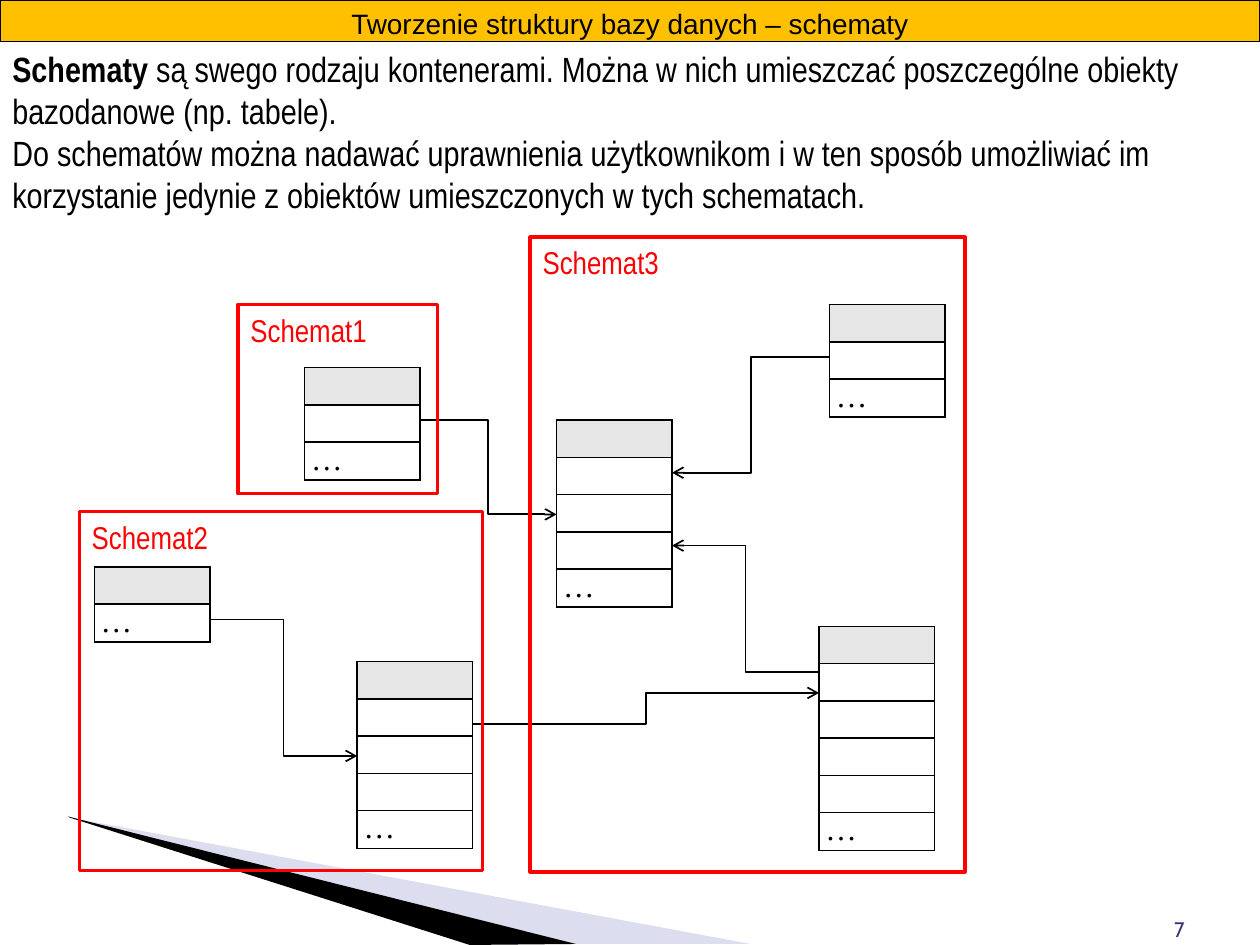
"""Builds a slide showing database schemas as containers for linked tables."""
from dataclasses import dataclass

import lxml.etree
import pptx
import pptx.dml.color
import pptx.enum.shapes
import pptx.enum.text
import pptx.oxml.ns
import pptx.util

Cm = pptx.util.Cm
Pt = pptx.util.Pt
ALIGN = pptx.enum.text.PP_ALIGN
ANCHOR = pptx.enum.text.MSO_ANCHOR


@dataclass(frozen=True)
class Theme:
    black: str = "000000"
    red: str = "FF0000"
    amber: str = "FFC000"
    header: str = "E6E6E6"
    wedge: str = "A8ABD5"
    navy: str = "30356E"
    sans: str = "Arial"
    narrow: str = "Arial Narrow"
    serif: str = "Times New Roman"
    number: str = "Cabin"
    title_size: int = 16
    body_size: int = 20
    label_size: int = 18
    number_size: int = 12
    empty_size: int = 10
    thin: float = 0.75
    line: float = 1
    thick: float = 2


def rgb(color):
    return pptx.dml.color.RGBColor.from_string(color)


def add_xml(parent, tag, **attributes):
    return lxml.etree.SubElement(parent, pptx.oxml.ns.qn(tag), **attributes)


def write(paragraph, text, *, font, size, color, bold=False, align=ALIGN.LEFT):
    paragraph.alignment = align
    run = paragraph.add_run()
    run.text = text
    run.font.name = font
    run.font.size = Pt(size)
    run.font.bold = bold
    run.font.color.rgb = rgb(color)


class SlideBuilder:
    def __init__(self, slide, theme):
        self.slide = slide
        self.theme = theme

    def wedge(self, points, color, opacity=100):
        start, *rest = [(Cm(x), Cm(y)) for x, y in points]
        builder = self.slide.shapes.build_freeform(*start)
        builder.add_line_segments(rest, close=True)
        shape = builder.convert_to_shape()
        shape.shadow.inherit = False
        shape.fill.solid()
        shape.fill.fore_color.rgb = rgb(color)
        shape.line.fill.background()
        if opacity < 100:
            fill_color = shape.fill._xPr.find(".//" + pptx.oxml.ns.qn("a:srgbClr"))
            add_xml(fill_color, "a:alpha", val=str(opacity * 1000))

    def rectangle(self, box, text, *, line, width, fill=None, **text_format):
        shape = self.slide.shapes.add_shape(
            pptx.enum.shapes.MSO_SHAPE.RECTANGLE, *map(Cm, box))
        shape.shadow.inherit = False
        if fill:
            shape.fill.solid()
            shape.fill.fore_color.rgb = rgb(fill)
        else:
            shape.fill.background()
        shape.line.color.rgb = rgb(line)
        shape.line.width = Pt(width)
        shape.text_frame.vertical_anchor = ANCHOR.TOP
        write(shape.text_frame.paragraphs[0], text, **text_format)

    def schema(self, name, *box):
        theme = self.theme
        self.rectangle(box, name, line=theme.red, width=theme.thick,
                       font=theme.narrow, size=theme.label_size, color=theme.red)

    def text(self, box, paragraphs, anchor=ANCHOR.TOP, **text_format):
        frame = self.slide.shapes.add_textbox(*map(Cm, box)).text_frame
        frame.word_wrap = True
        frame.vertical_anchor = anchor
        for index, runs in enumerate(paragraphs):
            paragraph = frame.add_paragraph() if index else frame.paragraphs[0]
            for text, bold in runs:
                write(paragraph, text, bold=bold, **text_format)

    def cell(self, cell, fill, text):
        theme = self.theme
        cell.margin_left = cell.margin_right = Cm(0.13)
        cell.margin_top = cell.margin_bottom = 0
        properties = cell._tc.get_or_add_tcPr()
        for side in ("a:lnL", "a:lnR", "a:lnT", "a:lnB"):
            border = add_xml(properties, side, w=str(Pt(theme.line)))
            add_xml(add_xml(border, "a:solidFill"), "a:srgbClr", val=theme.black)
        if fill:
            cell.fill.solid()
            cell.fill.fore_color.rgb = rgb(fill)
        else:
            cell.fill.background()
        paragraph = cell.text_frame.paragraphs[0]
        if text:
            write(paragraph, text, font=theme.serif, size=theme.label_size,
                  color=theme.black)
        else:
            add_xml(paragraph._p, "a:endParaRPr", sz=str(theme.empty_size * 100))

    def table(self, left, top, row_count):
        heights = [Cm(0.75)] * (row_count - 1) + [Cm(0.72)]
        frame = self.slide.shapes.add_table(
            row_count, 1, Cm(left), Cm(top), Cm(2.33), sum(heights))
        table = frame.table
        table.first_row = table.horz_banding = False
        for index, height in enumerate(heights):
            table.rows[index].height = height
            self.cell(table.cell(index, 0),
                      fill=self.theme.header if index == 0 else None,
                      text="…" if index == row_count - 1 else "")
        return frame

    def relation(self, source, target, start_y, end_y):
        if source.left < target.left:
            start_x, end_x = source.left + source.width, target.left
        else:
            start_x, end_x = source.left, target.left + target.width
        connector = self.slide.shapes.add_connector(
            pptx.enum.shapes.MSO_CONNECTOR.ELBOW,
            start_x, Cm(start_y), end_x, Cm(end_y))
        connector.line.color.rgb = rgb(self.theme.black)
        connector.line.width = Pt(self.theme.line)
        add_xml(connector.line._get_or_add_ln(), "a:tailEnd", type="arrow")
        add_xml(connector._element.spPr, "a:effectLst")


def main():
    theme = Theme()
    presentation = pptx.Presentation()
    presentation.slide_width, presentation.slide_height = Cm(25.4), Cm(19.05)
    slide = presentation.slides.add_slide(presentation.slide_layouts[6])
    builder = SlideBuilder(slide, theme)

    builder.wedge([(1.4, 16.48), (15.13, 19.03), (11.61, 19.03)], theme.wedge, 40)
    builder.wedge([(1.37, 16.46), (11.61, 19.03), (9.47, 19.05), (1.4, 16.48)],
                  theme.black)
    builder.text((18.21, 17.78, 5.92, 1.32), [[("7", False)]], ANCHOR.BOTTOM,
                 font=theme.number, size=theme.number_size, color=theme.navy,
                 align=ALIGN.RIGHT)
    builder.rectangle((0, 0, 25.4, 0.84), "Tworzenie struktury bazy danych – schematy",
                      line=theme.black, width=theme.thin, fill=theme.amber,
                      font=theme.sans, size=theme.title_size, color=theme.black,
                      align=ALIGN.CENTER)
    builder.text((0, 0.84, 25.2, 3.63), [
        [("Schematy ", True),
         ("są swego rodzaju kontenerami. Można w nich umieszczać poszczególne "
          "obiekty bazodanowe (np. tabele).", False)],
        [("Do schematów można nadawać uprawnienia użytkownikom i w ten sposób "
          "umożliwiać im korzystanie jedynie z obiektów umieszczonych w tych "
          "schematach.", False)],
    ], font=theme.narrow, size=theme.body_size, color=theme.black)

    schema1_table = builder.table(6.14, 7.41, 3)
    schema2_source = builder.table(1.9, 11.43, 2)
    schema2_target = builder.table(7.2, 13.34, 5)
    schema3_center = builder.table(11.22, 8.47, 5)
    schema3_top = builder.table(16.72, 6.14, 3)
    schema3_bottom = builder.table(16.51, 12.63, 6)

    builder.relation(schema1_table, schema3_center, 8.47, 10.37)
    builder.relation(schema3_top, schema3_center, 7.2, 9.53)
    builder.relation(schema2_target, schema3_bottom, 14.6, 13.97)
    builder.relation(schema3_bottom, schema3_center, 13.55, 11)
    builder.relation(schema2_source, schema2_target, 12.49, 15.24)

    builder.schema("Schemat1", 4.8, 6.14, 4.02, 3.81)
    builder.schema("Schemat2", 1.6, 10.31, 8.13, 7.24)
    builder.schema("Schemat3", 10.69, 4.78, 8.76, 12.8)
    presentation.save("out.pptx")


if __name__ == "__main__":
    main()
